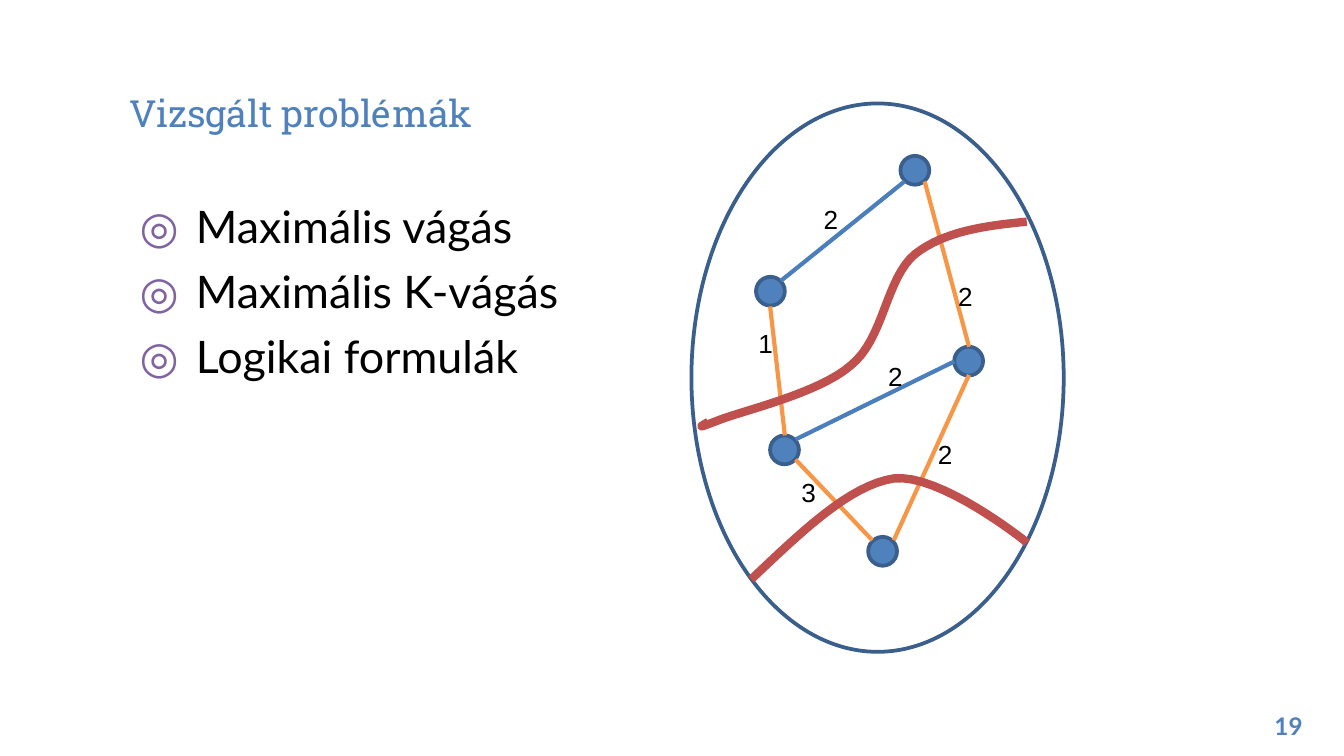
from pptx import Presentation
from pptx.dml.color import RGBColor
from pptx.enum.shapes import MSO_CONNECTOR, MSO_SHAPE
from pptx.enum.text import MSO_ANCHOR, MSO_AUTO_SIZE, PP_ALIGN
from pptx.oxml.ns import qn
from pptx.util import Pt
from lxml.etree import SubElement

SCALE = 4572
COLORS = {"blue": "4F81BD", "edge": "4B7EBC", "outline": "3A5F8C", "orange": "F79646",
          "red": "C0504D", "purple": "8064A2", "black": "000000"}
TITLE = {"size": Pt(20), "name": "Roboto Slab"}
BODY = {"size": Pt(24), "name": "Lato"}
NUMBER = {"size": Pt(13), "name": "Lato", "bold": True}
LABEL = {"size": Pt(14), "name": "Arial"}

ITEMS = ["Maximális vágás", "Maximális K-vágás", "Logikai formulák"]
NODES = [(1125, 412), (1146, 648), (1292, 799), (1340, 232), (1420, 516)]
EDGES = [(1162, 418, 1346, 270, "edge"), (1376, 270, 1442, 516, "orange"),
         (1146, 456, 1168, 648, "orange"), (1420, 538, 1184, 654, "edge"),
         (1298, 804, 1184, 684, "orange"), (1330, 804, 1442, 558, "orange")]
WEIGHTS = [(1206, 293, "2"), (1406, 408, "2"), (1109, 478, "1"),
           (1302, 526, "2"), (1376, 643, "2"), (1173, 699, "3")]
CUTS = [
    [(1528, 330), (1466, 336), (1406, 344), (1362, 378), (1318, 414), (1316, 504),
     (1266, 544), (1218, 586), (1102, 612), (1068, 626), (1032, 640), (1044, 634),
     (1054, 628)],
    [(1118, 862), (1192, 792), (1264, 722), (1330, 712), (1398, 704), (1524, 804),
     (1524, 804), (1524, 804), (1528, 808), (1528, 808)],
]


def px(n):
    return n * SCALE


def color(name):
    return RGBColor.from_string(COLORS[name])


def set_attrs(obj, values):
    for key, value in values.items():
        setattr(obj, key, value)


def set_box(sp, box):
    set_attrs(sp, dict(zip(("left", "top", "width", "height"), map(px, box))))


def set_line(sp, name, width):
    sp.line.color.rgb = color(name)
    sp.line.width = Pt(width)


def write(p, text, font, name):
    r = p.add_run()
    r.text = text
    set_attrs(r.font, font)
    r.font.color.rgb = color(name)


def frame(sp, pad_y=20, anchor=MSO_ANCHOR.TOP):
    tf = sp.text_frame
    set_attrs(tf, {"word_wrap": True, "auto_size": MSO_AUTO_SIZE.NONE,
                   "vertical_anchor": anchor,
                   "margin_left": px(20), "margin_right": px(20),
                   "margin_top": px(pad_y), "margin_bottom": px(pad_y)})
    return tf


def add_title(s, text):
    sp = s.shapes.title
    set_box(sp, (172, 67, 1656, 154))
    p = frame(sp, anchor=MSO_ANCHOR.BOTTOM).paragraphs[0]
    p.alignment = PP_ALIGN.LEFT
    write(p, text, TITLE, "blue")


def add_text(s, box, text, font, name, align=PP_ALIGN.LEFT, pad_y=20):
    sp = s.shapes.add_textbox(*map(px, box))
    p = frame(sp, pad_y).paragraphs[0]
    p.alignment = align
    write(p, text, font, name)


def add_bullets(s, box, items):
    tf = frame(s.shapes.add_textbox(*map(px, box)))
    for i, item in enumerate(items):
        p = tf.add_paragraph() if i else tf.paragraphs[0]
        p.space_before = Pt(6 if i else 0)
        pPr = p._p.get_or_add_pPr()
        pPr.set("marL", str(px(100)))
        pPr.set("indent", str(px(-84)))
        clr = SubElement(pPr, qn("a:buClr"))
        SubElement(clr, qn("a:srgbClr")).set("val", COLORS["purple"])
        SubElement(pPr, qn("a:buFont")).set("typeface", BODY["name"])
        SubElement(pPr, qn("a:buChar")).set("char", "◎")
        write(p, item, BODY, "black")


def add_ellipse(s, box, fill=None):
    sp = s.shapes.add_shape(MSO_SHAPE.OVAL, *map(px, box))
    sp.shadow.inherit = False
    if fill:
        sp.fill.solid()
        sp.fill.fore_color.rgb = color(fill)
    else:
        sp.fill.background()
    set_line(sp, "outline", 2)


def add_edge(s, x1, y1, x2, y2, name):
    sp = s.shapes.add_connector(MSO_CONNECTOR.STRAIGHT, *map(px, (x1, y1, x2, y2)))
    set_line(sp, name, 2.25)
    SubElement(sp._element.spPr, qn("a:effectLst"))


def bezier(a, b, c, d, t):
    u = 1 - t
    return tuple(u**3 * i + 3 * u * u * t * j + 3 * u * t * t * k + t**3 * m
                 for i, j, k, m in zip(a, b, c, d))


def add_curve(s, points, steps=16):
    path = [bezier(*points[i:i + 4], n / steps)
            for i in range(0, len(points) - 1, 3) for n in range(1, steps + 1)]
    fb = s.shapes.build_freeform(*map(px, points[0]), scale=1.0)
    fb.add_line_segments([(round(px(x)), round(px(y))) for x, y in path], close=False)
    sp = fb.convert_to_shape()
    sp.shadow.inherit = False
    sp.fill.background()
    set_line(sp, "red", 4.5)


def main():
    prs = Presentation()
    set_attrs(prs, {"slide_width": px(2000), "slide_height": px(1125)})
    s = prs.slides.add_slide(prs.slide_layouts[5])
    add_title(s, "Vizsgált problémák")
    add_bullets(s, (172, 276, 1656, 782), ITEMS)
    add_text(s, (1838, 1039, 120, 86), "19", NUMBER, "blue", PP_ALIGN.RIGHT)
    add_ellipse(s, (1029, 154, 554, 816))
    for x, y in NODES:
        add_ellipse(s, (x, y, 43, 43), "blue")
    for edge in EDGES:
        add_edge(s, *edge)
    for x, y, weight in WEIGHTS:
        add_text(s, (x, y, 42, 68), weight, LABEL, "black", pad_y=10)
    for cut in CUTS:
        add_curve(s, cut)
    prs.save("out.pptx")


if __name__ == "__main__":
    main()
